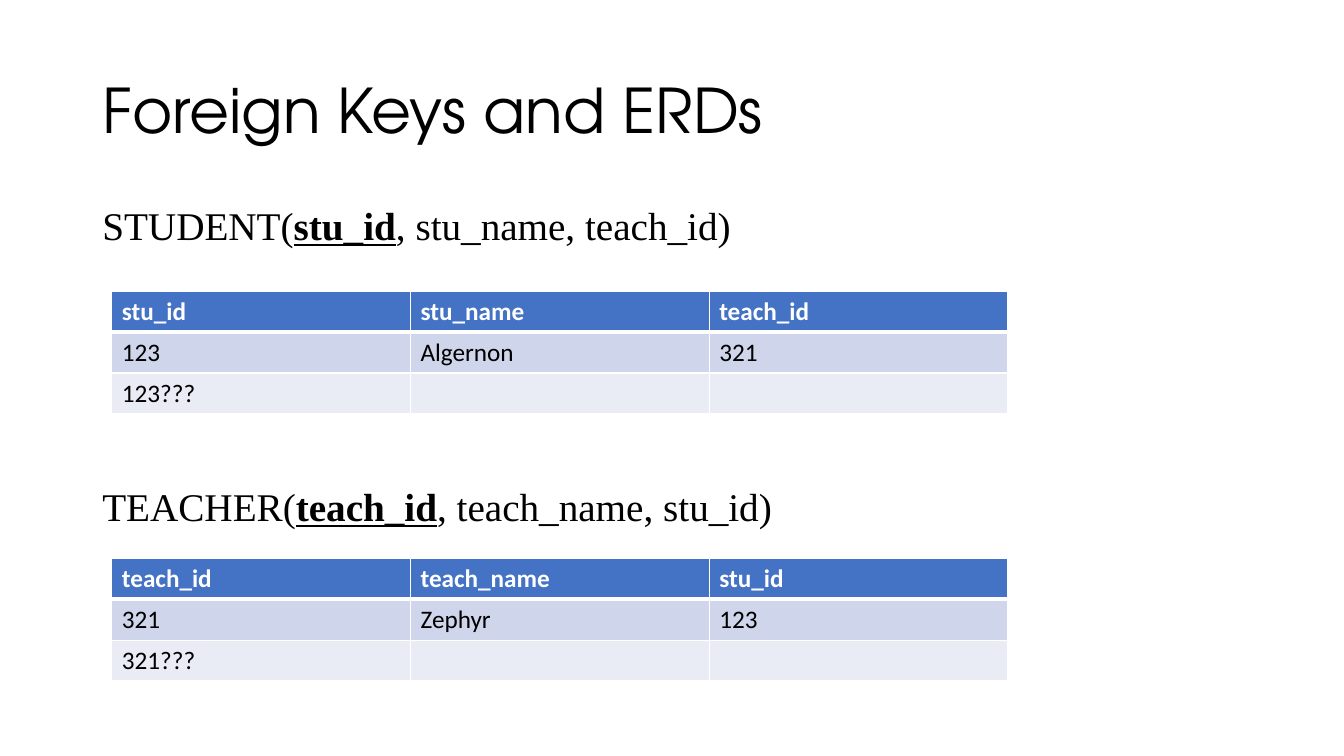
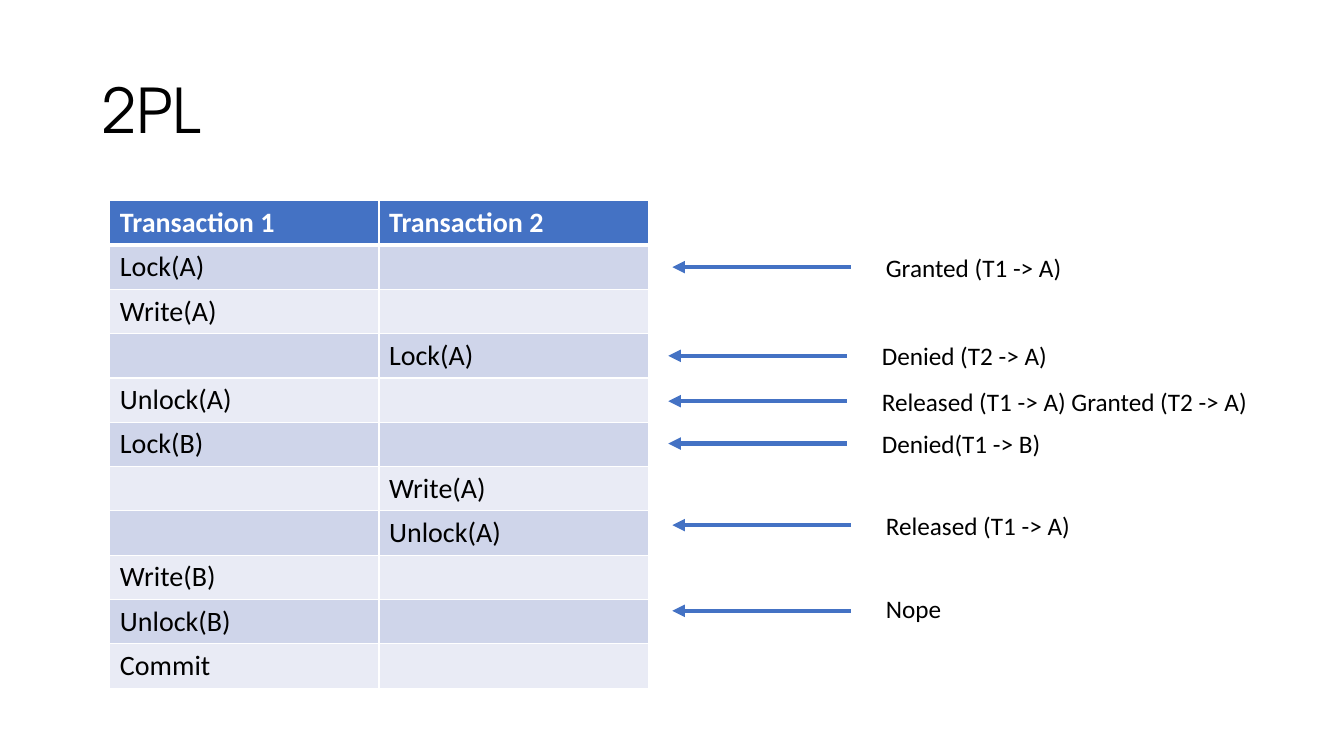
from lxml.etree import SubElement
from pptx import Presentation
from pptx.dml.color import RGBColor
from pptx.enum.shapes import MSO_CONNECTOR
from pptx.enum.text import MSO_ANCHOR
from pptx.oxml.ns import qn
from pptx.util import Inches, Pt

COLORS = {"ink": "000000", "paper": "FFFFFF", "accent": "4472C4", "dark_band": "CFD5EA", "light_band": "E9EBF5"}
TITLE = {"name": "TeX Gyre Adventor", "size": Pt(44)}
SCHEMA = {"name": "Times New Roman", "size": Pt(28)}
KEY = {**SCHEMA, "bold": True, "underline": True}
LABEL = {"name": "Calibri", "size": Pt(18)}

deck = Presentation()
deck.slide_width, deck.slide_height = Inches(13.333), Inches(7.5)
COLUMN = deck.slide_width / 160
ROW = deck.slide_height / 90


def write(para, text, style, color="ink"):
    span = para.add_run()
    span.text = text
    for name, value in style.items():
        setattr(span.font, name, value)
    span.font.color.rgb = RGBColor.from_string(COLORS[color])


def add_text(page, left, top, width, height, spans, spacing=1.0, anchor=MSO_ANCHOR.TOP):
    box = page.shapes.add_textbox(int(left * COLUMN), int(top * ROW), int(width * COLUMN), int(height * ROW))
    frame = box.text_frame
    frame.word_wrap = True
    frame.vertical_anchor = anchor
    para = frame.paragraphs[0]
    para.line_spacing = spacing
    for text, style in spans:
        write(para, text, style)


pages = []
for title in ("Foreign Keys and ERDs", "2PL"):
    page = deck.slides.add_slide(deck.slide_layouts[6])
    add_text(page, 11, 4.8, 138, 17.4, [(title, TITLE)], 0.9, MSO_ANCHOR.MIDDLE)
    pages.append(page)
keys_page, locking_page = pages

schemas = [
    (24, "STUDENT(", "stu_id", ", stu_name, teach_id)"),
    (57.48, "TEACHER(", "teach_id", ", teach_name, stu_id)"),
]
for top, entity, key, others in schemas:
    add_text(keys_page, 11, top, 138, 6, [(entity, SCHEMA), (key, KEY), (others, SCHEMA)], 0.9)

student_rows = [("stu_id", "stu_name", "teach_id"), ("123", "Algernon", "321"), ("123???", "", "")]
teacher_rows = [("teach_id", "teach_name", "stu_id"), ("321", "Zephyr", "123"), ("321???", "", "")]
schedule_rows = [
    ("Transaction 1", "Transaction 2"),
    ("Lock(A)", ""),
    ("Write(A)", ""),
    ("", "Lock(A)"),
    ("Unlock(A)", ""),
    ("Lock(B)", ""),
    ("", "Write(A)"),
    ("", "Unlock(A)"),
    ("Write(B)", ""),
    ("Unlock(B)", ""),
    ("Commit", ""),
]
tables = [
    (keys_page, 13.32, 34.68, 35.56, 4.87, 18, student_rows),
    (keys_page, 13.32, 66.48, 35.56, 4.87, 18, teacher_rows),
    (locking_page, 13.08, 23.88, 32.04, 5.28, 20, schedule_rows),
]
for page, left, top, cell_width, cell_height, size, rows in tables:
    row_count, column_count = len(rows), len(rows[0])
    table = page.shapes.add_table(
        row_count, column_count, int(left * COLUMN), int(top * ROW),
        int(column_count * cell_width * COLUMN), int(row_count * cell_height * ROW),
    ).table
    table.horz_banding = False
    for row_number, texts in enumerate(rows):
        header = row_number == 0
        band = "accent" if header else ("light_band", "dark_band")[row_number % 2]
        for column_number, text in enumerate(texts):
            cell = table.cell(row_number, column_number)
            properties = cell._tc.get_or_add_tcPr()
            for side in ("lnL", "lnR", "lnT", "lnB"):
                heavy = (row_number, side) in ((0, "lnB"), (1, "lnT"))
                border = SubElement(properties, qn(f"a:{side}"), w=str(Pt(3 if heavy else 1)))
                SubElement(SubElement(border, qn("a:solidFill")), qn("a:srgbClr"), val=COLORS["paper"])
            cell.fill.solid()
            cell.fill.fore_color.rgb = RGBColor.from_string(COLORS[band])
            if text:
                style = {"name": "Calibri", "size": Pt(size), "bold": header}
                write(cell.text_frame.paragraphs[0], text, style, "paper" if header else "ink")

ARROW_LENGTH = 21.24
outcomes = [
    (80.04, 31.8, 29.4, "Granted (T1 -> A)"),
    (79.56, 42.36, 39.96, "Denied (T2 -> A)"),
    (79.56, 47.76, 45.36, "Released (T1 -> A) Granted (T2 -> A)"),
    (79.56, 52.8, 50.4, "Denied(T1 -> B)"),
    (80.04, 62.52, 60.12, "Released (T1 -> A)"),
    (80.04, 72.72, 70.08, "Nope"),
]
for tip, level, label_top, text in outcomes:
    start = tip + ARROW_LENGTH
    arrow = locking_page.shapes.add_connector(
        MSO_CONNECTOR.STRAIGHT, int(start * COLUMN), int(level * ROW), int(tip * COLUMN), int(level * ROW)
    )
    arrow.line.color.rgb = RGBColor.from_string(COLORS["accent"])
    arrow.line.width = Pt(3)
    SubElement(arrow.line._get_or_add_ln(), qn("a:tailEnd"), type="triangle")
    SubElement(arrow._element.spPr, qn("a:effectLst"))
    add_text(locking_page, start + 3, label_top, 50, 4.8, [(text, LABEL)])

deck.save("out.pptx")
